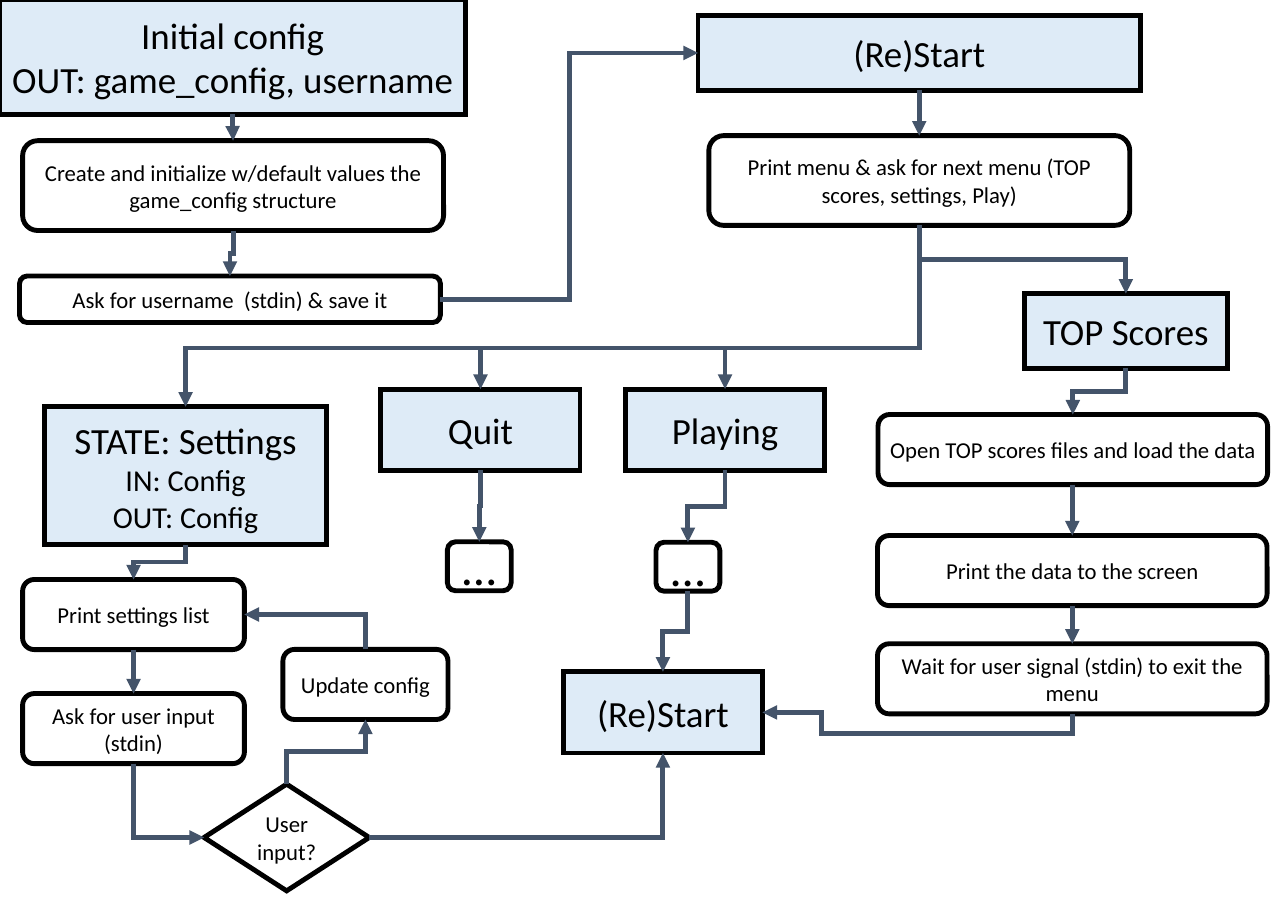
from lxml.etree import SubElement
from pptx import Presentation
from pptx.dml.color import RGBColor
from pptx.enum.shapes import MSO_CONNECTOR as Line, MSO_SHAPE as Shape
from pptx.enum.text import MSO_ANCHOR as Anchor, PP_ALIGN as Align
from pptx.oxml.ns import qn
from pptx.util import Pt

TOP, LEFT, BOTTOM, RIGHT = range(4)
DIRECTIONS = {TOP: (0, -1), LEFT: (-1, 0), BOTTOM: (0, 1), RIGHT: (1, 0)}
ANGLES = {RIGHT: 0, BOTTOM: 90, LEFT: 180, TOP: 270}


def color(code):
    return RGBColor.from_string(code)


def write(para, text, size=21, font="Calibri", ink="000000", align=Align.CENTER):
    para.alignment = align
    span = para.add_run()
    span.text = text
    span.font.size = Pt(size)
    span.font.name = font
    span.font.color.rgb = color(ink)


def site(box, side):
    across, down = DIRECTIONS[side]
    return (box.left + box.width * (1 + across) / 2,
            box.top + box.height * (1 + down) / 2)


class Flowchart:
    """Draws states, steps and links on one page in a shared style."""

    outline, arrow, state_fill = "000000", "44546A", "DEEBF7"
    weight, state_size, detail_size, dots_size = 4.5, 34.1, 28, 45

    def __init__(self, page):
        self.shapes = page.shapes

    def stroke(self, line, ink):
        line.color.rgb = color(ink)
        line.width = Pt(self.weight)

    def box(self, kind, place, lines, fill=None):
        box = self.shapes.add_shape(kind, *map(Pt, place))
        box.shadow.inherit = False
        if fill:
            box.fill.solid()
            box.fill.fore_color.rgb = color(fill)
        else:
            box.fill.background()
        self.stroke(box.line, self.outline)
        SubElement(box.element.spPr.find(qn("a:ln")), qn("a:miter"), lim="800000")
        frame = box.text_frame
        frame.word_wrap = True
        frame.vertical_anchor = Anchor.MIDDLE
        for index, (text, size) in enumerate(lines):
            para = frame.add_paragraph() if index else frame.paragraphs[0]
            write(para, text, size=size)
        return box

    def state(self, place, *titles, details=()):
        lines = [(text, self.state_size) for text in titles]
        lines += [(text, self.detail_size) for text in details]
        box = self.box(Shape.ROUNDED_RECTANGLE, place, lines, self.state_fill)
        box.adjustments[0] = 0
        return box

    def step(self, place, text, size=21):
        return self.box(Shape.ROUNDED_RECTANGLE, place, [(text, size)])

    def dots(self, left, top):
        return self.step((left, top, 59, 45.2), "…", self.dots_size)

    def decision(self, place, text):
        return self.box(Shape.FLOWCHART_DECISION, place, [(text, 21)])

    def link(self, start, end, out=BOTTOM, into=TOP, preset="bentConnector3",
             bend=None, cross=None):
        (x1, y1), (x2, y2) = site(start, out), site(end, into)
        across, down = DIRECTIONS[out]
        ahead = (x2 - x1) * across + (y2 - y1) * down
        aside = (y2 - y1) * across - (x2 - x1) * down
        width, height = abs(ahead), abs(aside)

        link = self.shapes.add_connector(Line.ELBOW, 0, 0, 0, 0)
        link.begin_connect(start, out)
        link.end_connect(end, into)
        link.left = round((x1 + x2 - width) / 2)
        link.top = round((y1 + y2 - height) / 2)
        link.width, link.height = round(width), round(height)

        properties = link.element.spPr
        frame = properties.find(qn("a:xfrm"))
        frame.set("rot", str(ANGLES[out] * 60000))
        frame.set("flipH", str(int(ahead < 0)))
        frame.set("flipV", str(int(aside < 0)))
        geometry = properties.find(qn("a:prstGeom"))
        geometry.set("prst", preset)
        guides = geometry.find(qn("a:avLst"))
        shares = {"adj1": Pt(bend) / ahead if bend else None, "adj2": cross}
        for name, share in shares.items():
            if share is not None:
                SubElement(guides, qn("a:gd"), name=name,
                           fmla=f"val {round(share * 100000)}")

        self.stroke(link.line, self.arrow)
        line = properties.find(qn("a:ln"))
        SubElement(line, qn("a:miter"), lim="800000")
        SubElement(line, qn("a:tailEnd"), type="triangle")
        SubElement(properties, qn("a:effectLst"))

    def corner(self, start, end, out, into):
        self.link(start, end, out, into, preset="bentConnector2")

    def chain(self, *boxes):
        for start, end in zip(boxes, boxes[1:]):
            self.link(start, end)


def main():
    deck = Presentation()
    deck.slide_width, deck.slide_height = Pt(1190.2), Pt(841.7)
    chart = Flowchart(deck.slides.add_slide(deck.slide_layouts[6]))

    config = chart.state((0, 0, 430, 105.5), "Initial config",
                         "OUT: game_config, username")
    create = chart.step((20.9, 130, 389, 83),
                        "Create and initialize w/default values the game_config structure")
    username = chart.step((18, 255, 389, 43), "Ask for username  (stdin) & save it")
    chart.chain(config, create, username)

    start = chart.state((645, 14.4, 409, 69.1), "(Re)Start")
    menu = chart.step((655, 125.3, 389, 83),
                      "Print menu & ask for next menu (TOP scores, settings, Play)")
    scores = chart.state((946.8, 271.4, 187.2, 69), "TOP Scores")
    load = chart.step((811.4, 383, 360, 64.8), "Open TOP scores files and load the data")
    show = chart.step((810.9, 494.8, 360, 64.8), "Print the data to the screen")
    wait = chart.step((810.9, 594.8, 360, 64.8),
                      "Wait for user signal (stdin) to exit the menu")
    chart.link(username, start, RIGHT, LEFT)
    chart.chain(start, menu, scores, load, show, wait)

    settings = chart.state((41, 375.8, 261, 127.4), "STATE: Settings",
                           details=("IN: Config", "OUT: Config"))
    leave = chart.state((352, 359.5, 184, 75), "Quit")
    playing = chart.state((578, 359.5, 184, 75), "Playing")
    restart = chart.state((520.6, 620.7, 184, 75), "(Re)Start")
    for option in (settings, leave, playing):
        chart.link(menu, option, bend=113.2)
    chart.chain(leave, chart.dots(413.4, 500.6))
    chart.chain(playing, chart.dots(606.2, 501), restart)
    chart.link(wait, restart, BOTTOM, RIGHT, "bentConnector4", bend=18, cross=0.81)

    listing = chart.step((20.9, 535.4, 205, 64.8), "Print settings list")
    ask = chart.step((20.9, 640.8, 205, 64.8), "Ask for user input (stdin)")
    update = chart.step((261.4, 600, 152.6, 64.8), "Update config")
    choice = chart.decision((188.6, 724.5, 152.6, 98.6), "User input?")
    chart.link(settings, listing)
    chart.link(listing, ask, preset="straightConnector1")
    chart.corner(ask, choice, BOTTOM, LEFT)
    chart.link(choice, update, TOP, BOTTOM)
    chart.corner(update, listing, TOP, RIGHT)
    chart.corner(choice, restart, RIGHT, BOTTOM)

    deck.save("out.pptx")


if __name__ == "__main__":
    main()
